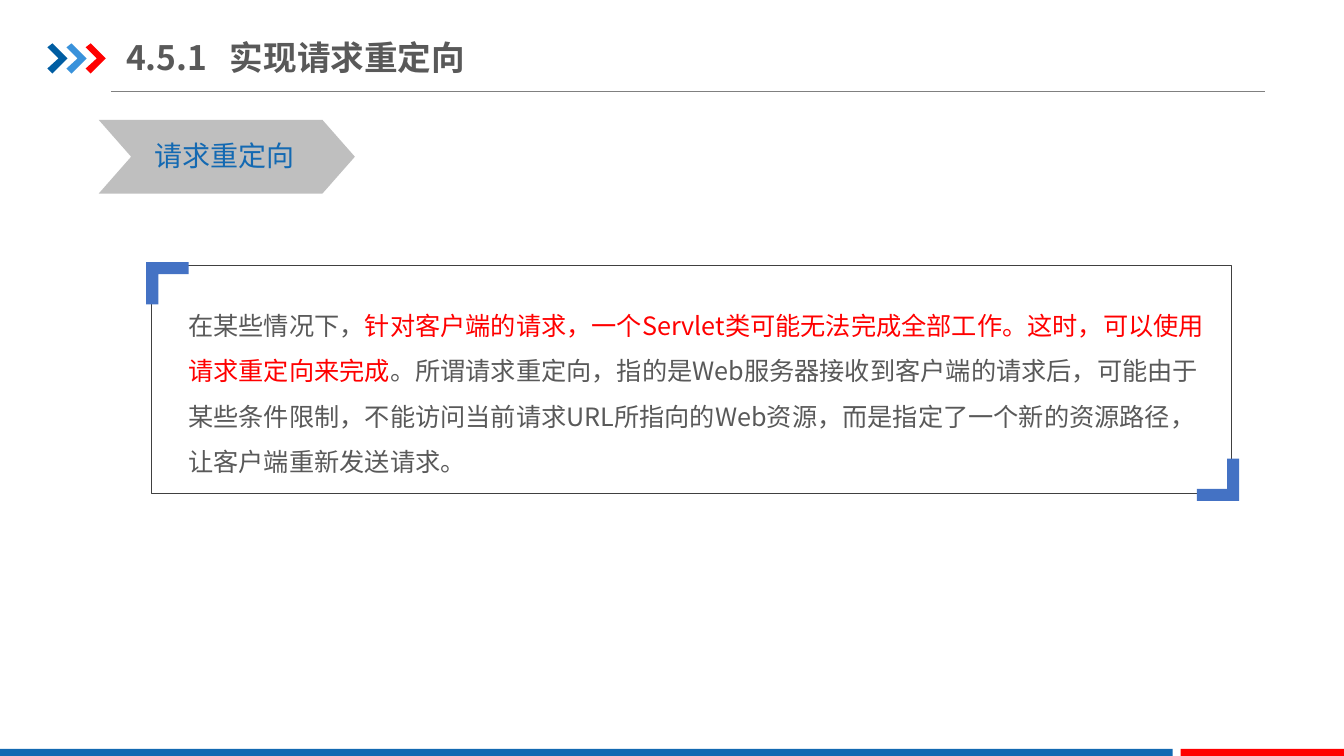
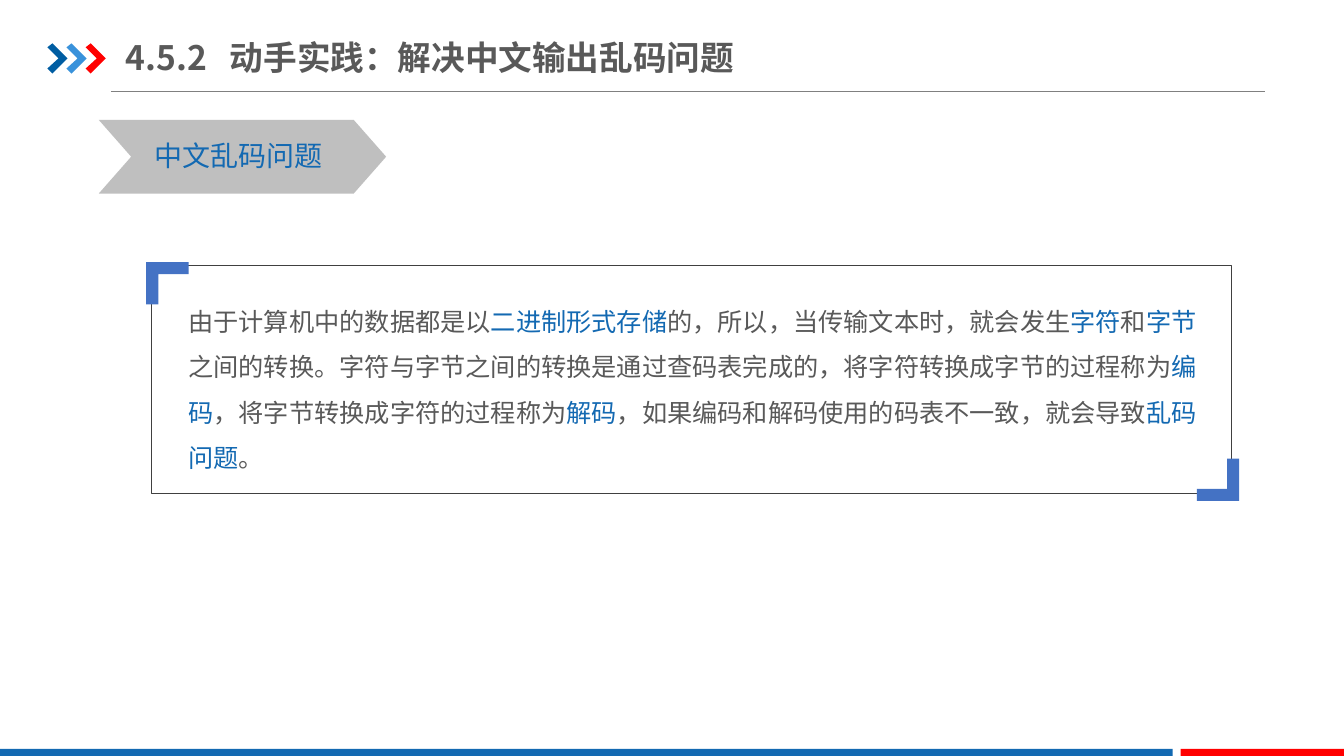
from dataclasses import dataclass

from lxml.etree import SubElement
from pptx import Presentation
from pptx.dml.color import RGBColor
from pptx.enum.shapes import MSO_CONNECTOR, MSO_SHAPE
from pptx.enum.text import MSO_ANCHOR, MSO_AUTO_SIZE
from pptx.oxml.ns import qn
from pptx.shapes.autoshape import Shape
from pptx.slide import Slide
from pptx.util import Emu, Pt

PX = 9144
FONT = "Noto Sans CJK SC"
COLORS = {
    "text": "595959",
    "blue": "1369B2",
    "red": "FF0000",
    "navy": "005DA2",
    "sky": "3992DB",
    "corner": "4472C4",
    "tag": "BFBFBF",
    "rule": "808080",
    "frame": "404040",
}


@dataclass(frozen=True)
class Box:
    left: int
    top: int
    width: int
    height: int

    def emu(self) -> tuple[Emu, ...]:
        return tuple(px(n) for n in (self.left, self.top, self.width, self.height))


@dataclass(frozen=True)
class Span:
    text: str
    color: str = "text"


@dataclass(frozen=True)
class Topic:
    number: str
    title: str
    title_width: int
    tag: str
    tag_width: int
    label_width: int
    body_top: int
    spans: tuple[Span, ...]


FRAME = Box(150, 263, 1071, 226)
TOPICS = (
    Topic("4.5.1", "实现请求重定向", 359, "请求重定向", 254, 160, 288, (
        Span("在某些情况下，"),
        Span("针对客户端的请求，一个Servlet类可能无法完成全部工作。"
             "这时，可以使用请求重定向来完成", "red"),
        Span("。所谓请求重定向，指的是Web服务器接收到客户端的请求后，"
             "可能由于某些条件限制，不能访问当前请求URL所指向的Web资源，"
             "而是指定了一个新的资源路径，让客户端重新发送请求。"),
    )),
    Topic("4.5.2", "动手实践：解决中文输出乱码问题", 643, "中文乱码问题", 285, 188, 284, (
        Span("由于计算机中的数据都是以"),
        Span("二进制形式存储", "blue"),
        Span("的，所以，当传输文本时，就会发生"),
        Span("字符", "blue"),
        Span("和"),
        Span("字节", "blue"),
        Span("之间的转换。字符与字节之间的转换是通过查码表完成的，"
             "将字符转换成字节的过程称为"),
        Span("编码", "blue"),
        Span("，将字节转换成字符的过程称为"),
        Span("解码", "blue"),
        Span("，如果编码和解码使用的码表不一致，就会导致"),
        Span("乱码问题", "blue"),
        Span("。"),
    )),
)


def px(length: int) -> Emu:
    return Emu(length * PX)


def rgb(name: str) -> RGBColor:
    return RGBColor.from_string(COLORS[name])


def paint(shape: Shape, color: str) -> None:
    shape.shadow.inherit = False
    shape.fill.solid()
    shape.fill.fore_color.rgb = rgb(color)
    shape.line.fill.background()


def add_block(page: Slide, kind: MSO_SHAPE, box: Box, color: str) -> Shape:
    shape = page.shapes.add_shape(kind, *box.emu())
    paint(shape, color)
    return shape


def add_outline(page: Slide, points: list[tuple[int, int]], color: str) -> None:
    builder = page.shapes.build_freeform(*points[0], scale=PX)
    builder.add_line_segments(points[1:], close=True)
    paint(builder.convert_to_shape(), color)


def add_text(page: Slide, box: Box, spans: tuple[Span, ...], size: int,
             wrap: bool = True, bold: bool = False, spacing: float | None = None) -> Shape:
    shape = page.shapes.add_textbox(*box.emu())
    shape.text_frame.word_wrap = wrap
    paragraph = shape.text_frame.paragraphs[0]
    if spacing:
        paragraph.line_spacing = spacing
    font = paragraph.font
    font.size, font.bold, font.name = Pt(size), bold, FONT
    font.color.rgb = rgb(spans[0].color)
    defaults = paragraph._p.get_or_add_pPr().find(qn("a:defRPr"))
    SubElement(defaults, qn("a:ea")).set("typeface", FONT)
    for span in spans:
        run = paragraph.add_run()
        run.text = span.text
        if span.color != spans[0].color:
            run.font.color.rgb = rgb(span.color)
    return shape


def add_title(page: Slide, topic: Topic) -> None:
    spans = (Span(f"{topic.number}\t{topic.title}"),)
    shape = add_text(page, Box(125, 29, topic.title_width, 55), spans, 24, bold=True)
    frame = shape.text_frame
    frame.vertical_anchor = MSO_ANCHOR.MIDDLE
    frame.margin_left = frame.margin_right = 0
    frame.margin_top = frame.margin_bottom = px(7)
    properties = frame.paragraphs[0]._p.get_or_add_pPr()
    tabs = SubElement(properties, qn("a:tabLst"))
    properties.insert(0, tabs)
    tab = SubElement(tabs, qn("a:tab"))
    tab.set("pos", str(px(103)))
    tab.set("algn", "l")


def add_page_style(page: Slide) -> None:
    rule = page.shapes.add_connector(
        MSO_CONNECTOR.STRAIGHT, px(110), px(91), px(1255), px(91))
    rule.line.color.rgb = rgb("rule")
    rule.line.width = Pt(0.5)
    SubElement(rule._element.spPr, qn("a:effectLst"))
    arrow = ((0, 4), (5, 0), (20, 15), (5, 30), (0, 25), (11, 15))
    for index, color in enumerate(("navy", "sky", "red")):
        left = 47 + 19 * index
        add_outline(page, [(left + x, 43 + y) for x, y in arrow], color)
    add_block(page, MSO_SHAPE.RECTANGLE, Box(0, 743, 1163, 9), "blue")
    add_block(page, MSO_SHAPE.RECTANGLE, Box(1171, 743, 163, 9), "red")


def add_tag(page: Slide, topic: Topic) -> None:
    chevron = add_block(page, MSO_SHAPE.CHEVRON, Box(98, 119, topic.tag_width, 73), "tag")
    chevron.adjustments[0] = 0.44
    label = add_text(page, Box(143, 133, topic.label_width, 44),
                     (Span(topic.tag, "blue"),), 20, wrap=False)
    label.text_frame.auto_size = MSO_AUTO_SIZE.SHAPE_TO_FIT_TEXT


def add_panel(page: Slide, topic: Topic) -> None:
    frame = page.shapes.add_shape(MSO_SHAPE.RECTANGLE, *FRAME.emu())
    frame.shadow.inherit = False
    frame.fill.background()
    frame.line.color.rgb = rgb("frame")
    frame.line.width = Pt(0.25)
    bracket = ((0, 0), (42, 0), (42, 12), (12, 12), (12, 42), (0, 42))
    for left, top, sign in ((145, 260, 1), (1229, 497, -1)):
        add_outline(page, [(left + sign * x, top + sign * y) for x, y in bracket], "corner")
    add_text(page, Box(177, topic.body_top, 1030, 185), topic.spans, 18, spacing=1.5)


def main() -> None:
    deck = Presentation()
    deck.slide_width, deck.slide_height = px(1333), px(750)
    for topic in TOPICS:
        page = deck.slides.add_slide(deck.slide_layouts[6])
        add_page_style(page)
        add_panel(page, topic)
        add_tag(page, topic)
        add_title(page, topic)
    deck.save("out.pptx")


if __name__ == "__main__":
    main()
